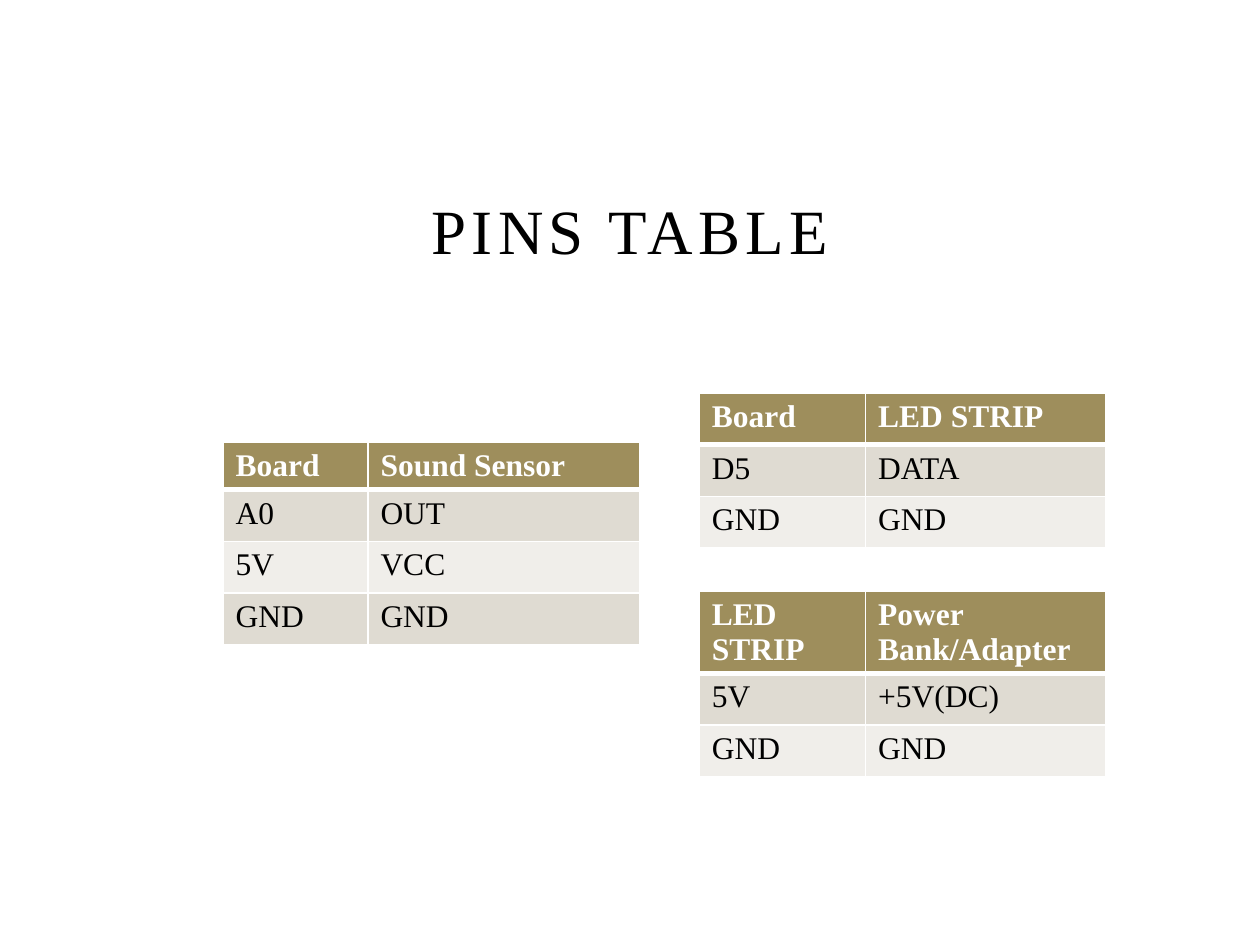
from lxml import etree
from pptx import Presentation
from pptx.dml.color import RGBColor
from pptx.enum.text import MSO_ANCHOR, PP_ALIGN
from pptx.oxml.ns import qn
from pptx.util import Inches, Pt

FONT = "Times New Roman"
BLACK = RGBColor(0x00, 0x00, 0x00)
WHITE = RGBColor(0xFF, 0xFF, 0xFF)
HEADER = RGBColor(0x9E, 0x8E, 0x5C)
BANDS = (RGBColor(0xDF, 0xDB, 0xD2), RGBColor(0xF0, 0xEE, 0xEA))

TITLE = "PINS TABLE"
ROW_H = 0.41
LED_COLS = (1.32, 1.91)
TABLES = [
    {"at": (1.77, 3.51), "cols": (1.15, 2.16), "header_h": 0.37,
     "rows": [("Board", "Sound Sensor"), ("A0", "OUT"), ("5V", "VCC"), ("GND", "GND")]},
    {"at": (5.55, 3.12), "cols": LED_COLS, "header_h": ROW_H,
     "rows": [("Board", "LED STRIP"), ("D5", "DATA"), ("GND", "GND")]},
    {"at": (5.55, 4.69), "cols": LED_COLS, "header_h": 0.65,
     "rows": [("LED STRIP", "Power Bank/Adapter"), ("5V", "+5V(DC)"), ("GND", "GND")]},
]


def add_run(p, text, size, color, bold=False):
    r = p.add_run()
    r.text = text
    r.font.name = FONT
    r.font.size = Pt(size)
    r.font.bold = bold
    r.font.color.rgb = color
    return r


def set_borders(cell, top, bottom):
    """Draw white cell borders; top and bottom widths are in points."""
    tcPr = cell._tc.get_or_add_tcPr()
    for side, width in (("L", 1), ("R", 1), ("T", top), ("B", bottom)):
        ln = etree.SubElement(tcPr, qn(f"a:ln{side}"), w=str(Pt(width)))
        fill = etree.SubElement(ln, qn("a:solidFill"))
        etree.SubElement(fill, qn("a:srgbClr"), val=str(WHITE))


def add_pin_table(s, at, cols, header_h, rows):
    heights = [header_h] + [ROW_H] * (len(rows) - 1)
    frame = s.shapes.add_table(len(rows), len(cols), *map(Inches, at),
                               Inches(sum(cols)), Inches(sum(heights)))
    table = frame.table
    for column, width in zip(table.columns, cols):
        column.width = Inches(width)
    for i, (texts, height) in enumerate(zip(rows, heights)):
        table.rows[i].height = Inches(height)
        is_header = i == 0
        for j, text in enumerate(texts):
            cell = table.cell(i, j)
            set_borders(cell, top=3 if i == 1 else 1, bottom=3 if is_header else 1)
            cell.fill.solid()
            cell.fill.fore_color.rgb = HEADER if is_header else BANDS[(i - 1) % 2]
            add_run(cell.text_frame.paragraphs[0], text, 18,
                    WHITE if is_header else BLACK, is_header)


def main():
    prs = Presentation()
    prs.slide_width, prs.slide_height = Inches(10), Inches(7.5)
    s = prs.slides.add_slide(prs.slide_layouts[5])

    title = s.shapes.title
    title.left, title.top = Inches(1.5), Inches(1.42)
    title.width, title.height = Inches(7), Inches(0.75)
    tf = title.text_frame
    tf.vertical_anchor = MSO_ANCHOR.BOTTOM
    p = tf.paragraphs[0]
    p.alignment = PP_ALIGN.CENTER
    r = add_run(p, TITLE, 36, BLACK)
    r.font._element.set("spc", "300")

    for table in TABLES:
        add_pin_table(s, **table)
    prs.save("out.pptx")


if __name__ == "__main__":
    main()
